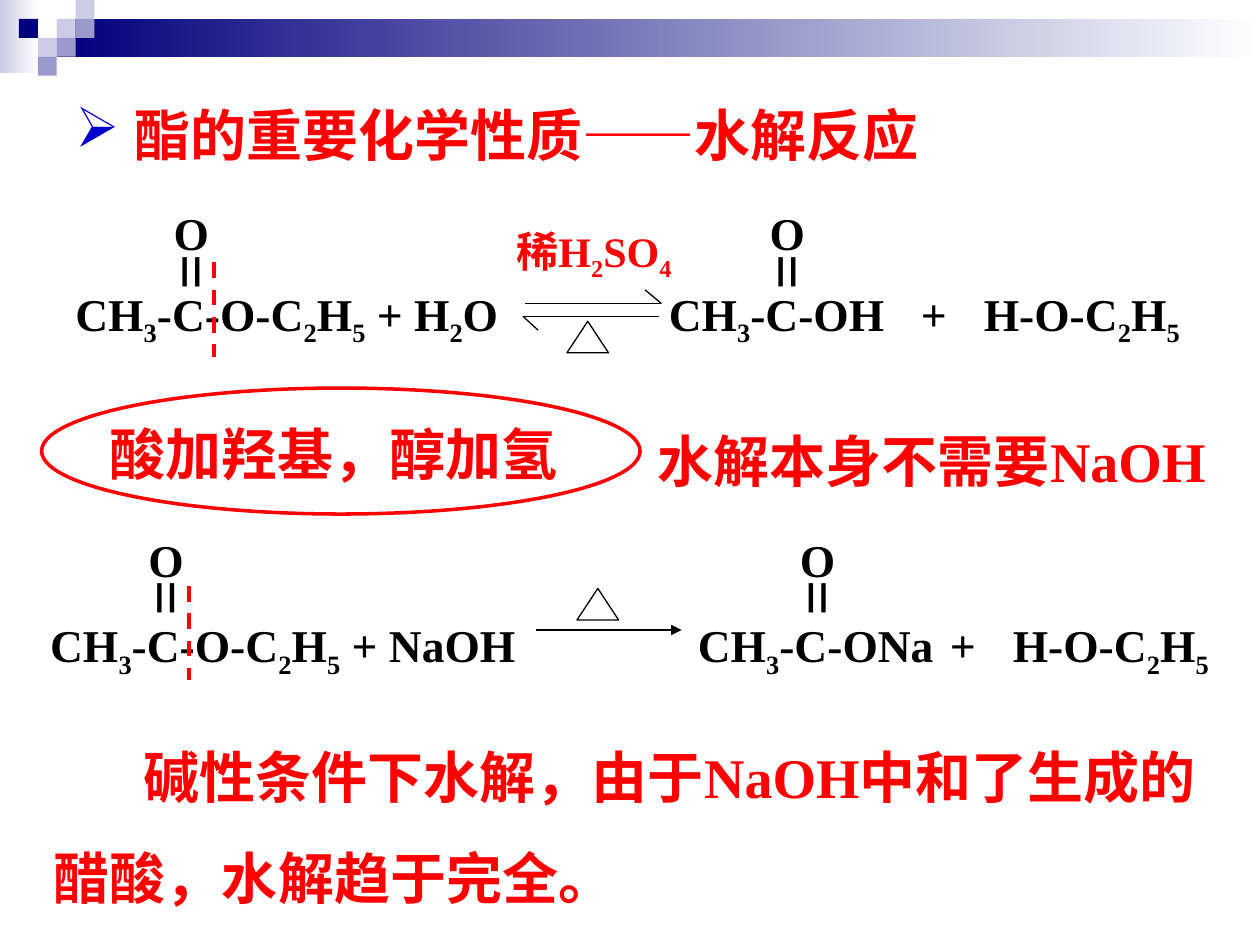
"""Build a slide on the hydrolysis of esters."""
from itertools import groupby

from lxml import etree
from pptx import Presentation
from pptx.dml.color import RGBColor
from pptx.enum import dml, shapes, text
from pptx.oxml import ns
from pptx.util import Inches, Pt

RED = RGBColor(0xFF, 0, 0)
BLACK = RGBColor(0, 0, 0)
WHITE = RGBColor(0xFF, 0xFF, 0xFF)
NAVY = RGBColor(0, 0, 0x7D)
PALE = RGBColor(0xCC, 0xCC, 0xE6)
LILAC = RGBColor(0x99, 0x99, 0xCC)
BULLET = "0000CC"
SERIF, SANS = "Times New Roman", "Arial"

BANDS = [(0, 0, 0.31, 0.58, PALE), (0.45, 0.15, 9.55, 0.3, NAVY)]
TILE = 0.15
TILES = [(3, 1, PALE), (4, 0, PALE), (4, 1, LILAC), (2, 2, PALE),
         (1, 1, NAVY), (3, 2, LILAC), (2, 3, LILAC)]

FORMULAS = [
    ("CH3-C-O-C2H5 + H2O", 0.5, 2.22, 3.7, ()),
    ("CH3-C-OH\t+\tH-O-C2H5", 5.21, 2.22, 4.4, (1.9, 2.28)),
    ("CH3-C-O-C2H5 + NaOH", 0.3, 4.85, 4.1, ()),
    ("CH3-C-ONa\t+\tH-O-C2H5", 5.44, 4.85, 4.5, (2.06, 2.44)),
]
CARBONYLS = [(1.28, 1.58), (6.01, 1.58), (1.08, 4.17), (6.25, 4.17)]
HEATS = [(4.5, 2.55), (4.58, 4.67)]
EQUILIBRIUM = [(4.17, 2.41, 5.24, 2.41), (5.12, 2.3, 5.25, 2.41),
               (5.23, 2.51, 4.15, 2.51), (4.27, 2.62, 4.15, 2.51)]
ARROW = (4.25, 5, 5.41, 5)
CUTS = [(1.5, 4.65, 1.5, 5.4), (1.7, 2.08, 1.7, 2.83)]
OVAL = (0.33, 3.08, 4.75, 1)

NOTES = [
    ("酯的重要化学性质——水解反应", (0.5, 0.75, 8.08, 0.64),
     dict(font=SANS, bullet="➢", margin=0.47, indent=-0.47)),
    ("酸加羟基，醇加氢", (0.77, 3.28, 3.9, 0.64), dict(font=SANS)),
    ("水解本身不需要NaOH", (5.12, 3.07, 4.75, 0.9), dict(spacing=1.5)),
    ("碱性条件下水解，由于NaOH中和了生成的醋酸，水解趋于完全。",
     (0.33, 5.58, 9.42, 1.7), dict(spacing=1.5, indent=0.71)),
]


def sub(parent, tag, **attrs):
    return etree.SubElement(parent, ns.qn(tag), **attrs)


def add_text(s, content, box, size=32, color=RED, font=SERIF, spacing=None,
             bullet=None, margin=0, indent=0, tabs=(), wrap=True, vertical=False):
    tf = s.shapes.add_textbox(*map(Inches, box)).text_frame
    tf.word_wrap = wrap
    tf.auto_size = text.MSO_AUTO_SIZE.SHAPE_TO_FIT_TEXT
    if vertical:
        tf._txBody.bodyPr.set("vert", "eaVert")
        tf.margin_left = tf.margin_right = Inches(0.05)
        tf.margin_top = tf.margin_bottom = Inches(0.1)
    p = tf.paragraphs[0]
    pr = p._p.get_or_add_pPr()
    pr.set("marL", str(Inches(margin)))
    pr.set("indent", str(Inches(indent)))
    if bullet:
        sub(sub(pr, "a:buClr"), "a:srgbClr", val=BULLET)
        sub(pr, "a:buChar", char=bullet)
    if tabs:
        stops = sub(pr, "a:tabLst")
        for pos in tabs:
            sub(stops, "a:tab", pos=str(Inches(pos)), algn="l")
    if spacing:
        p.line_spacing = spacing
    for is_digit, chars in groupby(content, str.isdigit):
        r = p.add_run()
        r.text = "".join(chars)
        r.font.size, r.font.name, r.font.bold = Pt(size), font, True
        r.font.color.rgb = color
        if is_digit:
            r.font._element.set("baseline", "-25000")


def add_shape(s, kind, box, fill=None, fade=False, line=None, width=0.75):
    sp = s.shapes.add_shape(kind, *map(Inches, box))
    sp.shadow.inherit = False
    if fade:
        sp.fill.gradient()
        sp.fill.gradient_angle = 0
        for stop, color in zip(sp.fill.gradient_stops, (fill, WHITE)):
            stop.color.rgb = color
        sp.fill.gradient_stops[0].position = 0
        sp.fill.gradient_stops[1].position = 1
    elif fill is not None:
        sp.fill.solid()
        sp.fill.fore_color.rgb = fill
    else:
        sp.fill.background()
    if line is not None:
        sp.line.color.rgb = line
        sp.line.width = Pt(width)
    else:
        sp.line.fill.background()


def add_line(s, ends, color=BLACK, width=0.75, dash=None, arrow=False):
    c = s.shapes.add_connector(shapes.MSO_CONNECTOR.STRAIGHT, *map(Inches, ends))
    c.line.color.rgb = color
    c.line.width = Pt(width)
    if dash:
        c.line.dash_style = dash
    if arrow:
        sub(c.line._get_or_add_ln(), "a:tailEnd", type="triangle")
    sub(c._element.spPr, "a:effectLst")


def main():
    prs = Presentation()
    prs.slide_width, prs.slide_height = Inches(10), Inches(7.5)
    s = prs.slides.add_slide(prs.slide_layouts[6])
    kind = shapes.MSO_SHAPE
    for *box, color in BANDS:
        add_shape(s, kind.RECTANGLE, box, color, fade=True)
    for col, row, color in TILES:
        add_shape(s, kind.RECTANGLE, (col * TILE, row * TILE, TILE, TILE), color)
    add_text(s, "稀H2SO4", (4, 1.74, 1.67, 0.56), size=24)
    for ends in EQUILIBRIUM:
        add_line(s, ends)
    add_line(s, ARROW, arrow=True)
    for x, y in HEATS:
        add_shape(s, kind.ISOSCELES_TRIANGLE, (x, y, 0.33, 0.25), WHITE, line=BLACK)
    for content, x, y, w, tabs in FORMULAS:
        add_text(s, content, (x, y, w, 0.54), size=26, color=BLACK, tabs=tabs)
    for x, y in CARBONYLS:
        add_text(s, "=", (x - 0.18, y + 0.34, 0.8, 0.42), size=36, color=BLACK,
                 vertical=True)
        add_text(s, "O", (x, y, 0.48, 0.54), size=26, color=BLACK, wrap=False)
    for ends in CUTS:
        add_line(s, ends, RED, 2.25, dml.MSO_LINE.DASH)
    add_shape(s, kind.OVAL, OVAL, line=RED, width=2)
    for content, box, style in NOTES:
        add_text(s, content, box, **style)
    prs.save("out.pptx")


if __name__ == "__main__":
    main()
